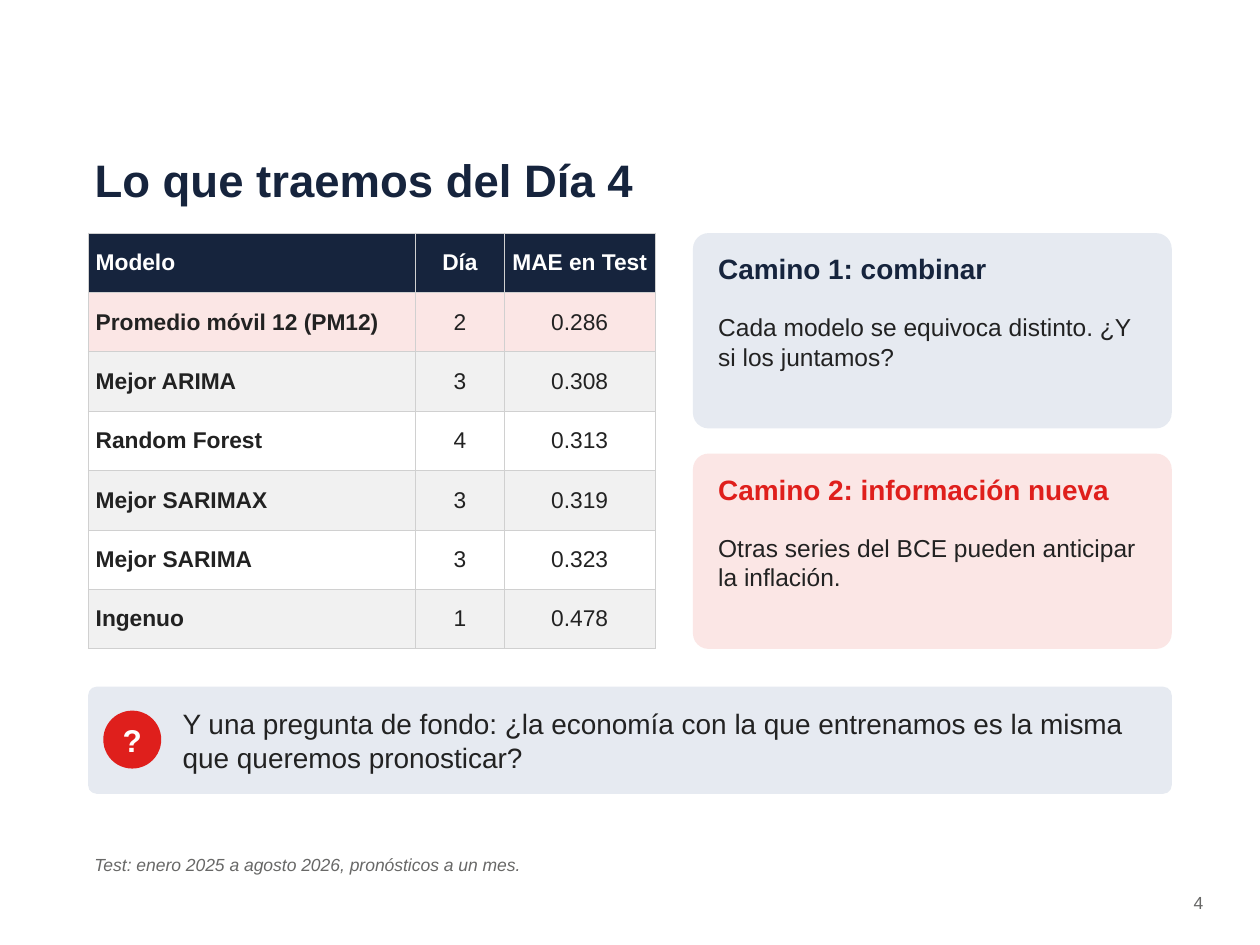
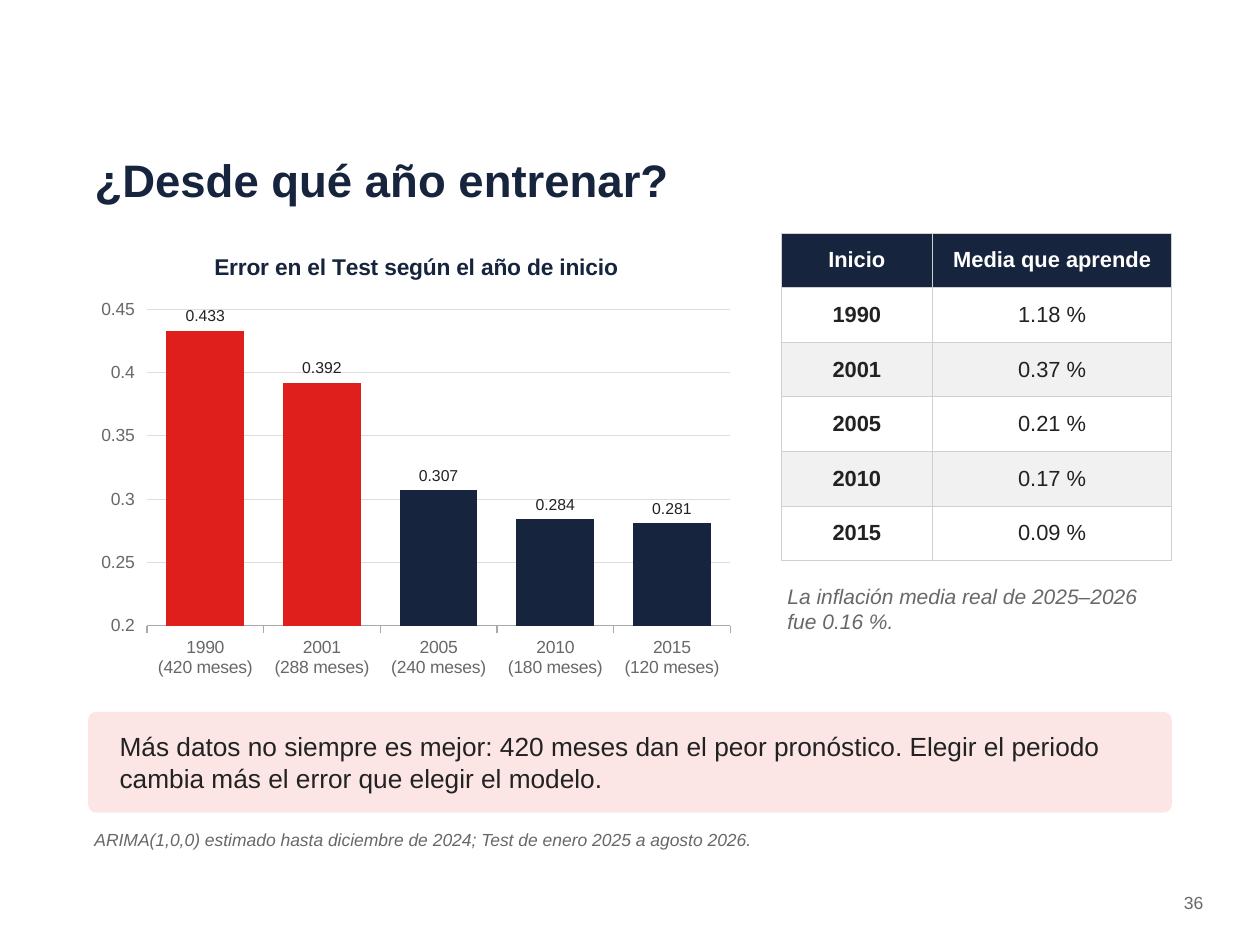
import pptx
import pptx.chart.data
import pptx.dml.color
import pptx.enum.chart
import pptx.enum.shapes
import pptx.enum.text
import pptx.oxml
import pptx.oxml.ns
import pptx.util

FONT = "Arial"
NAVY, RED, INK, GREY, WHITE = "16243D", "DF1F1C", "222222", "686867", "FFFFFF"
PALE_BLUE, PALE_RED, STRIPE, BORDER = "E6EAF1", "FBE6E5", "F1F1F1", "D0D0D0"
COLS, ROWS = 100, 75
CELL = pptx.util.Inches(0.1)
LEFT, TOP, WIDTH = 7, 18.5, 86
ALIGN = pptx.enum.text.PP_ALIGN
ANCHOR = pptx.enum.text.MSO_ANCHOR
SHAPE = pptx.enum.shapes.MSO_SHAPE


def rgb(value):
    """Turn a hex string into a colour."""
    return pptx.dml.color.RGBColor.from_string(value)


def grid(*cells):
    """Turn grid columns and rows into lengths."""
    return [round(n * CELL) for n in cells]


def style(font, size, color, bold=False, italic=False):
    """Set the look of a font."""
    font.name, font.size = FONT, pptx.util.Pt(size)
    font.bold, font.italic = bold, italic
    font.color.rgb = rgb(color)


def write(tf, text, size, color, bold=False, italic=False,
          align=ALIGN.LEFT, anchor=ANCHOR.TOP, inset=(0.5, 0.3), after=4):
    """Fill a text frame with one formatted paragraph."""
    tf.word_wrap = True
    tf.auto_size = pptx.enum.text.MSO_AUTO_SIZE.NONE
    tf.vertical_anchor = anchor
    tf.margin_left, tf.margin_top = tf.margin_right, tf.margin_bottom = grid(*inset)
    tf.text = text
    p = tf.paragraphs[0]
    p.alignment, p.space_after = align, pptx.util.Pt(after)
    style(p.runs[0].font, size, color, bold, italic)


def add_text(slide, box, text, size, color, **look):
    """Add a text box placed on the grid."""
    write(slide.shapes.add_textbox(*grid(*box)).text_frame, text, size, color, **look)


def add_panel(slide, box, fill, kind=SHAPE.ROUNDED_RECTANGLE):
    """Add a flat filled shape without outline."""
    sp = slide.shapes.add_shape(kind, *grid(*box))
    if kind == SHAPE.ROUNDED_RECTANGLE:
        sp.adjustments[0] = 0.08
    sp.shadow.inherit = False
    sp.fill.solid()
    sp.fill.fore_color.rgb = rgb(fill)
    sp.line.fill.background()
    return sp


def add_card(slide, top, fill, heading, heading_color, body):
    """Add a panel with a heading and a sentence."""
    left, width = 55, 38
    add_panel(slide, (left, top, width, 15.5), fill)
    add_text(slide, (left + 1.5, top + 1.2, width - 3, 4.5),
             heading, 16, heading_color, bold=True)
    add_text(slide, (left + 1.5, top + 6, width - 3, 8.5), body, 14, INK)


def add_banner(slide, top, height, fill, text, size, indent, right):
    """Add a full-width panel with centred-height text."""
    add_panel(slide, (LEFT, top, WIDTH, height), fill)
    add_text(slide, (LEFT + indent, top, WIDTH - indent - right, height),
             text, size, INK, anchor=ANCHOR.MIDDLE)


def add_borders(cell):
    """Draw thin lines around a table cell."""
    tc_pr = cell._tc.get_or_add_tcPr()
    for side in "LRTB":
        tc_pr.append(pptx.oxml.parse_xml(
            f'<a:ln{side} {pptx.oxml.ns.nsdecls("a")} w="6350"><a:solidFill>'
            f'<a:srgbClr val="{BORDER}"/></a:solidFill></a:ln{side}>'))


def add_grid_table(slide, left, height, widths, rows, size, fills, first_align):
    """Add a table with a dark header and bold first column."""
    table = slide.shapes.add_table(
        len(rows), len(widths), *grid(left, TOP, sum(widths), height)).table
    for column, width in zip(table.columns, grid(*widths)):
        column.width = width
    for i, (row, fill) in enumerate(zip(rows, [NAVY] + fills)):
        for j, text in enumerate(row):
            cell = table.cell(i, j)
            add_borders(cell)
            cell.fill.solid()
            cell.fill.fore_color.rgb = rgb(fill)
            cell.vertical_anchor = ANCHOR.MIDDLE
            cell.margin_left, cell.margin_top = grid(0.6, 0.3)
            cell.margin_right, cell.margin_bottom = grid(0.6, 0.3)
            cell.text = text
            p = cell.text_frame.paragraphs[0]
            p.alignment = ALIGN.CENTER if j else first_align
            style(p.runs[0].font, size, INK if i else WHITE, bold=i == 0 or j == 0)


def add_error_chart(slide, box, title, errors, highlighted):
    """Add a column chart with its first columns highlighted."""
    data = pptx.chart.data.CategoryChartData()
    data.categories = list(errors)
    data.add_series("MAE", errors.values())
    chart = slide.shapes.add_chart(
        pptx.enum.chart.XL_CHART_TYPE.COLUMN_CLUSTERED, *grid(*box), data).chart
    style(chart.font, 10, GREY)
    chart.has_legend = False
    chart.has_title = True
    chart.chart_title.include_in_layout = False
    chart.chart_title.text_frame.text = title
    style(chart.chart_title.text_frame.paragraphs[0].runs[0].font, 13, NAVY, bold=True)

    value_axis, category_axis = chart.value_axis, chart.category_axis
    value_axis.minimum_scale, value_axis.maximum_scale = 0.2, 0.46
    value_axis.major_unit = 0.05
    value_axis.format.line.fill.background()
    category_axis.tick_label_position = pptx.enum.chart.XL_TICK_LABEL_POSITION.LOW
    for line, color, width in ((value_axis.major_gridlines.format.line, "DDDDDD", 0.5),
                               (category_axis.format.line, "AAAAAA", 0.75)):
        line.color.rgb, line.width = rgb(color), pptx.util.Pt(width)
    for axis in (value_axis, category_axis):
        style(axis.tick_labels.font, 10, GREY)

    plot = chart.plots[0]
    plot.gap_width, plot.vary_by_categories = 50, False
    series = plot.series[0]
    series.format.fill.solid()
    series.format.fill.fore_color.rgb = rgb(NAVY)
    for i in range(highlighted):
        fill = series.points[i].format.fill
        fill.solid()
        fill.fore_color.rgb = rgb(RED)
    labels = series.data_labels
    labels.show_value = True
    labels.number_format, labels.number_format_is_linked = "0.000", False
    labels.position = pptx.enum.chart.XL_LABEL_POSITION.OUTSIDE_END
    style(labels.font, 9, INK)


def add_slide(prs, title, number, note, note_top):
    """Add a slide with its title, page number and footnote."""
    slide = prs.slides.add_slide(prs.slide_layouts[5])
    sp = slide.shapes.title
    sp.left, sp.top, sp.width, sp.height = grid(LEFT, 10.5, WIDTH, 7.5)
    write(sp.text_frame, title, 26, NAVY, bold=True, anchor=ANCHOR.MIDDLE)
    add_text(slide, (90, 70.5, 6, 3), str(number), 10, GREY, align=ALIGN.RIGHT)
    add_text(slide, (LEFT, note_top, WIDTH, 3), note, 10, GREY, italic=True)
    return slide


def build_recap(prs):
    """Build the recap of models and the two ways forward."""
    slide = add_slide(prs, "Lo que traemos del Día 4", 4,
                      "Test: enero 2025 a agosto 2026, pronósticos a un mes.", 67.5)
    models = [("Modelo", "Día", "MAE en Test"),
              ("Promedio móvil 12 (PM12)", "2", "0.286"),
              ("Mejor ARIMA", "3", "0.308"),
              ("Random Forest", "4", "0.313"),
              ("Mejor SARIMAX", "3", "0.319"),
              ("Mejor SARIMA", "3", "0.323"),
              ("Ingenuo", "1", "0.478")]
    add_grid_table(slide, LEFT, 33, (26, 7, 12), models, 13,
                   [PALE_RED] + [STRIPE, WHITE] * 2 + [STRIPE], ALIGN.LEFT)
    cards = [(PALE_BLUE, "Camino 1: combinar", NAVY,
              "Cada modelo se equivoca distinto. ¿Y si los juntamos?"),
             (PALE_RED, "Camino 2: información nueva", RED,
              "Otras series del BCE pueden anticipar la inflación.")]
    for i, card in enumerate(cards):
        add_card(slide, TOP + 17.5 * i, *card)
    add_banner(slide, 54.5, 8.5, PALE_BLUE,
               "Y una pregunta de fondo: ¿la economía con la que entrenamos "
               "es la misma que queremos pronosticar?", 16, 7, 1)
    badge = add_panel(slide, (8.2, 56.4, 4.6, 4.6), RED, SHAPE.OVAL)
    write(badge.text_frame, "?", 18, WHITE, bold=True, align=ALIGN.CENTER,
          anchor=ANCHOR.MIDDLE, inset=(0, 0), after=0)


def build_start_year(prs):
    """Build the comparison of training start years."""
    slide = add_slide(prs, "¿Desde qué año entrenar?", 36,
                      "ARIMA(1,0,0) estimado hasta diciembre de 2024; "
                      "Test de enero 2025 a agosto 2026.", 65.5)
    errors = {"1990\n(420 meses)": 0.433, "2001\n(288 meses)": 0.392,
              "2005\n(240 meses)": 0.307, "2010\n(180 meses)": 0.284,
              "2015\n(120 meses)": 0.281}
    add_error_chart(slide, (LEFT, TOP, 52, 36),
                    "Error en el Test según el año de inicio", errors, 2)
    means = [("Inicio", "Media que aprende"), ("1990", "1.18 %"), ("2001", "0.37 %"),
             ("2005", "0.21 %"), ("2010", "0.17 %"), ("2015", "0.09 %")]
    add_grid_table(slide, 62, 26, (12, 19), means, 12.5,
                   [WHITE, STRIPE] * 2 + [WHITE], ALIGN.CENTER)
    add_text(slide, (62, 46, 31, 7),
             "La inflación media real de 2025–2026 fue 0.16 %.", 12, GREY, italic=True)
    add_banner(slide, 56.5, 8, PALE_RED,
               "Más datos no siempre es mejor: 420 meses dan el peor pronóstico. "
               "Elegir el periodo cambia más el error que elegir el modelo.", 15, 2, 2)


def main():
    """Build and save the presentation."""
    prs = pptx.Presentation()
    prs.slide_width, prs.slide_height = grid(COLS, ROWS)
    build_recap(prs)
    build_start_year(prs)
    prs.save("out.pptx")


if __name__ == "__main__":
    main()
